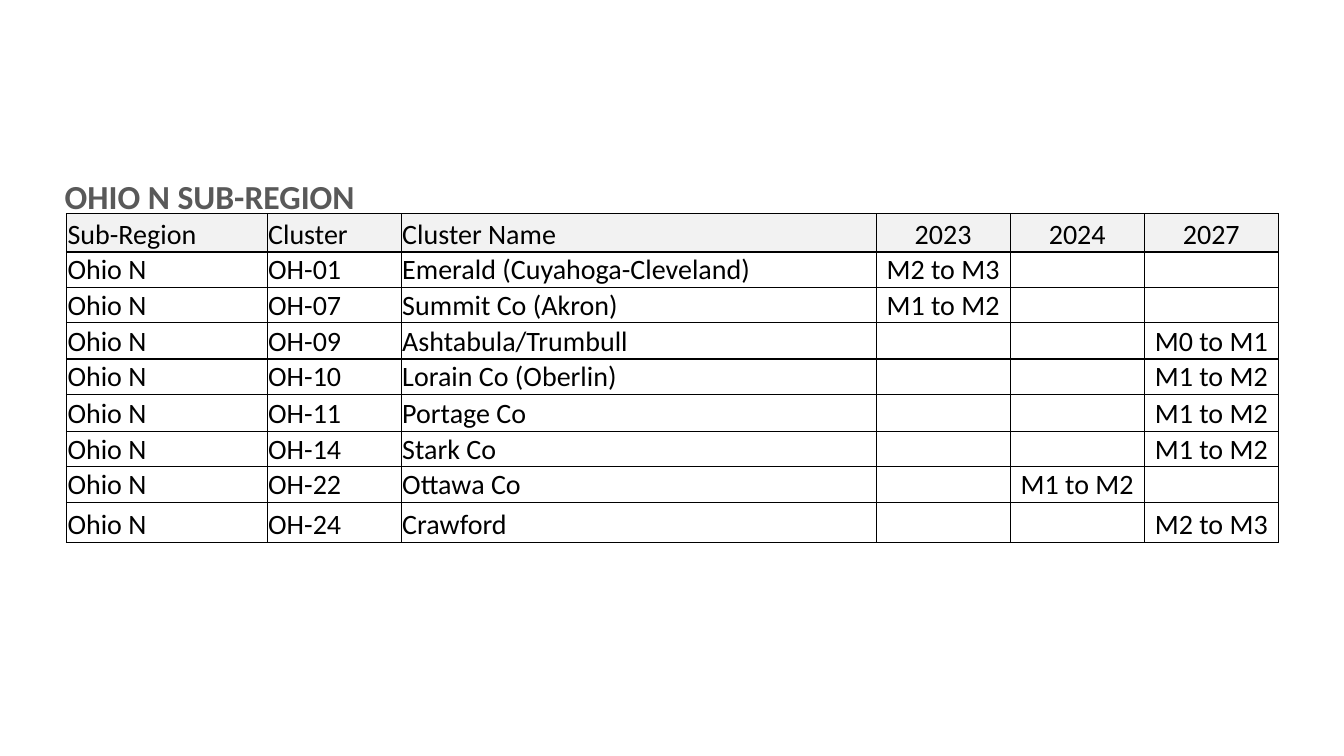
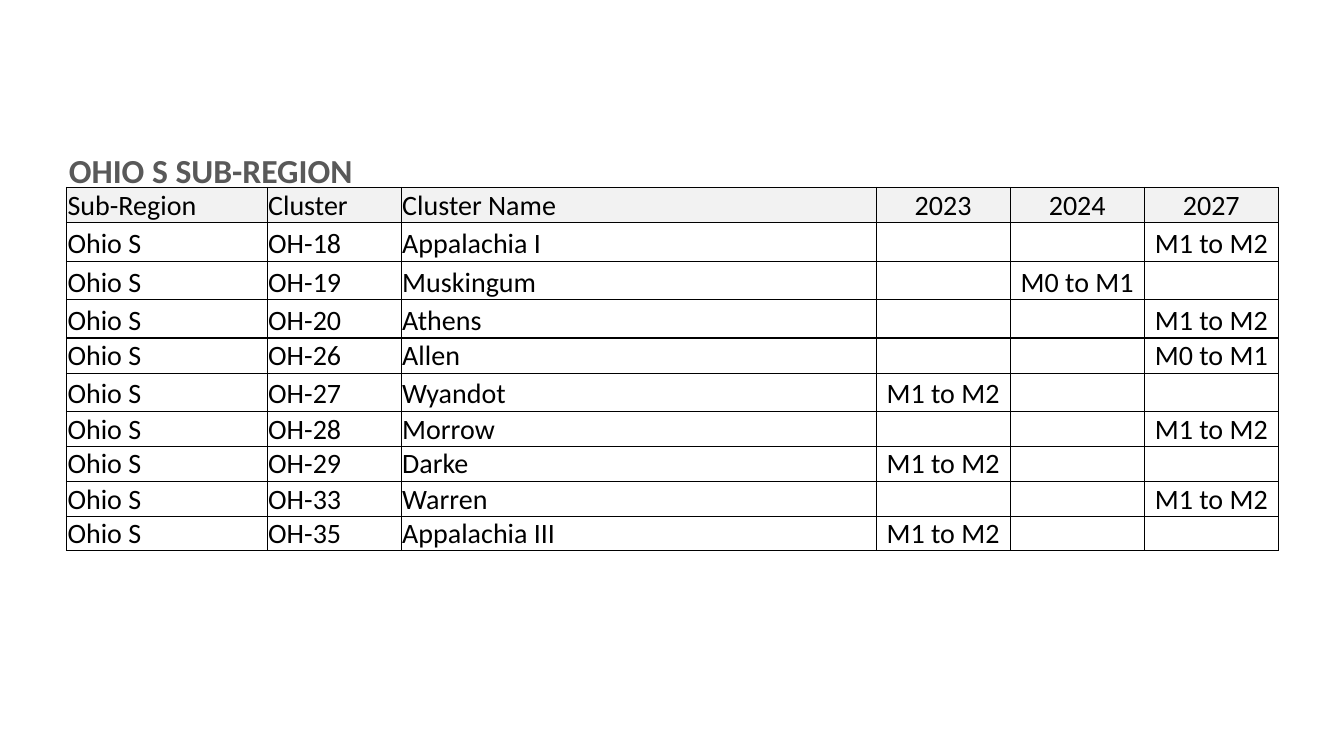
from lxml import etree
from pptx import Presentation
from pptx import util as u
from pptx.dml.color import RGBColor
from pptx.enum import text
from pptx.oxml.ns import qn

COLORS = {"title": "595959", "text": "000000", "border": "000000", "header": "F2F2F2"}
FONT = "Calibri"
YEARS = ["2023", "2024", "2027"]
HEADINGS = ["Sub-Region", "Cluster", "Cluster Name"] + YEARS
COLUMN_WIDTHS = [1.99, 1.33, 4.71, 1.33, 1.33, 1.33]
TABLE_LEFT, TABLE_WIDTH = 0.66, 12.02

# Each cluster: code, name, year of the step, step, row height
REGIONS = [
    {
        "name": "Ohio N", "table_top": 2.12, "header_height": 0.38,
        "title_box": (0.53, 1.7, 3.1, 0.84),
        "clusters": [
            ("OH-01", "Emerald (Cuyahoga-Cleveland)", "2023", "M2 to M3", 0.3),
            ("OH-07", "Summit Co (Akron)", "2023", "M1 to M2", 0.35),
            ("OH-09", "Ashtabula/Trumbull", "2027", "M0 to M1", 0.36),
            ("OH-10", "Lorain Co (Oberlin)", "2027", "M1 to M2", 0.3),
            ("OH-11", "Portage Co", "2027", "M1 to M2", 0.37),
            ("OH-14", "Stark Co", "2027", "M1 to M2", 0.35),
            ("OH-22", "Ottawa Co", "2024", "M1 to M2", 0.31),
            ("OH-24", "Crawford", "2027", "M2 to M3", 0.4),
        ],
    },
    {
        "name": "Ohio S", "table_top": 1.86, "header_height": 0.34,
        "title_box": (0.57, 1.44, 3.04, 0.84),
        "clusters": [
            ("OH-18", "Appalachia I", "2027", "M1 to M2", 0.39),
            ("OH-19", "Muskingum", "2024", "M0 to M1", 0.38),
            ("OH-20", "Athens", "2027", "M1 to M2", 0.38),
            ("OH-26", "Allen", "2027", "M0 to M1", 0.35),
            ("OH-27", "Wyandot", "2023", "M1 to M2", 0.38),
            ("OH-28", "Morrow", "2027", "M1 to M2", 0.32),
            ("OH-29", "Darke", "2023", "M1 to M2", 0.35),
            ("OH-33", "Warren", "2027", "M1 to M2", 0.33),
            ("OH-35", "Appalachia III", "2023", "M1 to M2", 0.34),
        ],
    },
]


def style_paragraph(paragraph, size, color, centered, bold=False):
    paragraph.alignment = text.PP_ALIGN.CENTER if centered else text.PP_ALIGN.LEFT
    paragraph.font.size = u.Pt(size)
    for run in paragraph.runs:
        run.font.name = FONT
        run.font.size = u.Pt(size)
        run.font.bold = bold
        run.font.color.rgb = RGBColor.from_string(COLORS[color])


def add_borders(cell):
    properties = cell._tc.get_or_add_tcPr()
    for position, side in enumerate(("lnL", "lnR", "lnT", "lnB")):
        line = etree.Element(qn(f"a:{side}"), w=str(u.Pt(1)))
        fill = etree.SubElement(line, qn("a:solidFill"))
        etree.SubElement(fill, qn("a:srgbClr"), val=COLORS["border"])
        properties.insert(position, line)


presentation = Presentation()
presentation.slide_width = u.Inches(13.33)
presentation.slide_height = u.Inches(7.5)

for region in REGIONS:
    slide = presentation.slides.add_slide(presentation.slide_layouts[6])

    # Table contents: each step goes under its year
    rows = [HEADINGS]
    heights = [region["header_height"]]
    for code, name, step_year, step, height in region["clusters"]:
        steps = [step if year == step_year else "" for year in YEARS]
        rows.append([region["name"], code, name] + steps)
        heights.append(height)

    # Table grid
    table = slide.shapes.add_table(
        len(rows), len(HEADINGS), u.Inches(TABLE_LEFT), u.Inches(region["table_top"]),
        u.Inches(TABLE_WIDTH), u.Inches(sum(heights))).table
    table.first_row = table.horz_banding = False
    for column, width in zip(table.columns, COLUMN_WIDTHS):
        column.width = u.Inches(width)
    for row, height in zip(table.rows, heights):
        row.height = u.Inches(height)

    # Cells
    for row_index, values in enumerate(rows):
        for column_index, value in enumerate(values):
            cell = table.cell(row_index, column_index)
            cell.text_frame.text = value
            cell.vertical_anchor = text.MSO_ANCHOR.BOTTOM
            cell.margin_left = cell.margin_right = cell.margin_top = u.Inches(0.01)
            cell.margin_bottom = 0
            if row_index == 0:
                cell.fill.solid()
                cell.fill.fore_color.rgb = RGBColor.from_string(COLORS["header"])
            else:
                cell.fill.background()
            add_borders(cell)
            style_paragraph(cell.text_frame.paragraphs[0], 20, "text",
                            centered=HEADINGS[column_index] in YEARS)

    # Title
    title = slide.shapes.add_textbox(*[u.Inches(length) for length in region["title_box"]])
    title.text_frame.word_wrap = False
    title.text_frame.text = f"{region['name'].upper()} SUB-REGION"
    style_paragraph(title.text_frame.paragraphs[0], 24, "title", centered=True, bold=True)

presentation.save("out.pptx")
